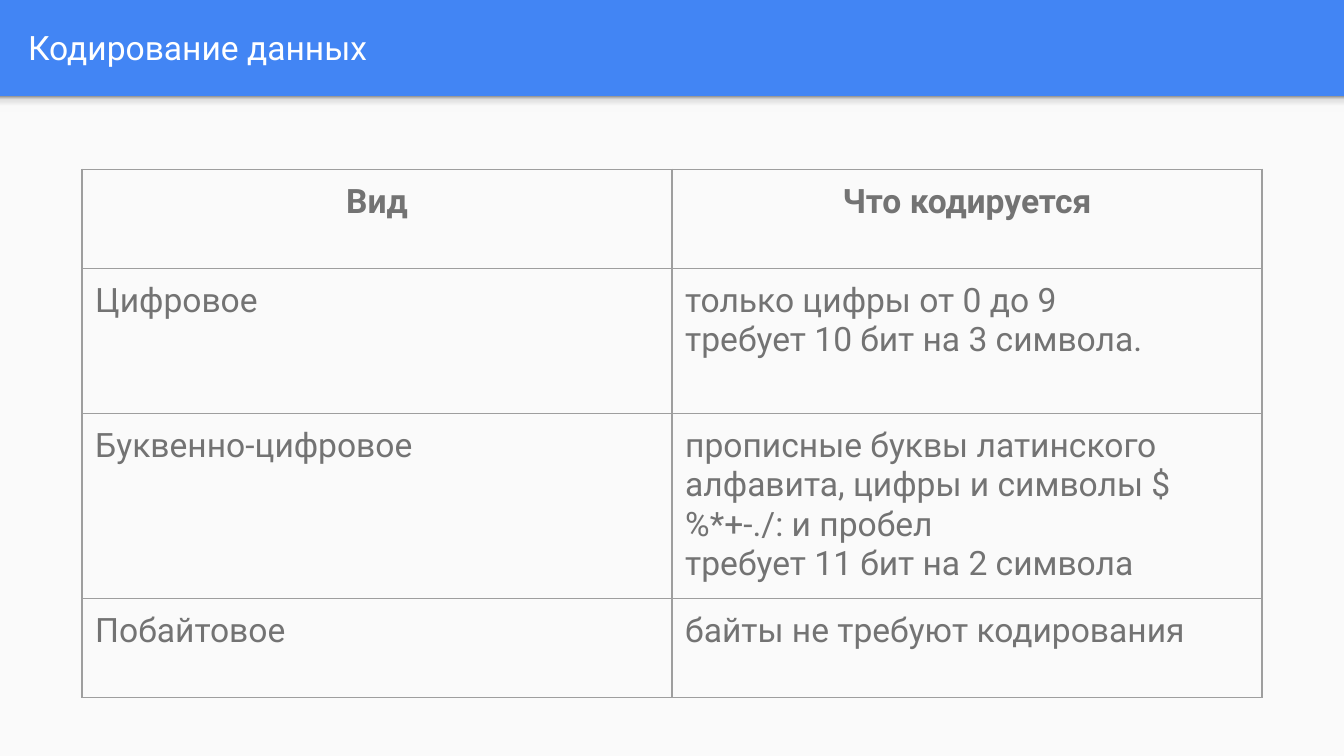
from dataclasses import dataclass

from lxml import etree
from pptx import Presentation
from pptx.dml.color import RGBColor
from pptx.enum.shapes import MSO_SHAPE
from pptx.enum.text import MSO_ANCHOR, PP_ALIGN
from pptx.oxml.ns import qn
from pptx.util import Cm, Pt

RECTANGLE = MSO_SHAPE.RECTANGLE
TOP, MIDDLE = MSO_ANCHOR.TOP, MSO_ANCHOR.MIDDLE
LEFT, CENTER = PP_ALIGN.LEFT, PP_ALIGN.CENTER


@dataclass(frozen=True)
class Theme:
    font: str = "Roboto"
    text_size: int = 18
    border_width: float = 0.75
    header: str = "4285F4"
    paper: str = "FAFAFA"
    title: str = "FFFFFF"
    text: str = "737373"
    border: str = "9E9E9E"
    shadow: tuple = ((0, "F9F9F9"), (36, "F9F9F9"), (80, "DEDEDE"), (100, "999999"))


THEME = Theme()
SLIDE_WIDTH, SLIDE_HEIGHT = Cm(25.4), Cm(14.29)
HEADER_HEIGHT = Cm(1.82)
INSET = Cm(0.25)


def write(frame, text, color=THEME.text, bold=False, align=LEFT):
    """Fill a text frame, one paragraph for each line of text."""
    frame.text = text
    frame.word_wrap = True
    for paragraph in frame.paragraphs:
        paragraph.alignment = align
        font = paragraph.runs[0].font
        font.name = THEME.font
        font.size = Pt(THEME.text_size)
        font.bold = bold
        font.color.rgb = RGBColor.from_string(color)


def add_band(slide, top, height):
    """Add a full-width rectangle without line or shadow."""
    band = slide.shapes.add_shape(RECTANGLE, 0, top, SLIDE_WIDTH, height)
    band.shadow.inherit = False
    band.line.fill.background()
    return band


presentation = Presentation()
presentation.slide_width, presentation.slide_height = SLIDE_WIDTH, SLIDE_HEIGHT
slide = presentation.slides.add_slide(presentation.slide_layouts[5])

# Background: blue header above a light page
slide.background.fill.solid()
slide.background.fill.fore_color.rgb = RGBColor.from_string(THEME.header)
page = add_band(slide, HEADER_HEIGHT, SLIDE_HEIGHT - HEADER_HEIGHT)
page.fill.solid()
page.fill.fore_color.rgb = RGBColor.from_string(THEME.paper)

# Soft shadow under the header, darkest at its top
header_shadow = add_band(slide, HEADER_HEIGHT, Cm(0.3))
header_shadow.fill.gradient()
header_shadow.fill.gradient_angle = 90
stop_list = next(header_shadow.element.iter(qn("a:gsLst")))
for old_stop in list(stop_list):
    stop_list.remove(old_stop)
for percent, color in THEME.shadow:
    stop = etree.SubElement(stop_list, qn("a:gs"), pos=str(percent * 1000))
    etree.SubElement(stop, qn("a:srgbClr"), val=color)

# Title
title = slide.shapes.title
title.left, title.top, title.width, title.height = Cm(0.28), Cm(0.05), Cm(24.5), Cm(1.68)
frame = title.text_frame
frame.margin_left = frame.margin_right = frame.margin_top = frame.margin_bottom = INSET
frame.vertical_anchor = MIDDLE
write(frame, "Кодирование данных", color=THEME.title)

# Table of encoding kinds
ROWS = [
    ("Вид", "Что кодируется"),
    ("Цифровое", "только цифры от 0 до 9\nтребует 10 бит на 3 символа."),
    (
        "Буквенно-цифровое",
        "прописные буквы латинского алфавита, цифры и символы $%*+-./: и пробел\n"
        "требует 11 бит на 2 символа",
    ),
    ("Побайтовое", "байты не требуют кодирования"),
]
ROW_HEIGHTS = [Cm(1.87), Cm(2.74), Cm(3.5), Cm(1.87)]
COLUMN_WIDTH = Cm(11.15)

table = slide.shapes.add_table(
    len(ROWS), 2, Cm(1.55), Cm(3.2), 2 * COLUMN_WIDTH, sum(ROW_HEIGHTS)
).table
table.horz_banding = False
for column in table.columns:
    column.width = COLUMN_WIDTH

for row_index, texts in enumerate(ROWS):
    table.rows[row_index].height = ROW_HEIGHTS[row_index]
    is_header = row_index == 0
    for column_index, text in enumerate(texts):
        cell = table.cell(row_index, column_index)
        cell.margin_left = cell.margin_right = INSET
        cell.margin_top = cell.margin_bottom = INSET
        cell.vertical_anchor = TOP
        write(cell.text_frame, text, bold=is_header, align=CENTER if is_header else LEFT)

        # Borders come before the fill in the cell properties
        properties = cell._tc.get_or_add_tcPr()
        for side in ("a:lnL", "a:lnR", "a:lnT", "a:lnB"):
            line = etree.SubElement(properties, qn(side), w=str(Pt(THEME.border_width)))
            fill = etree.SubElement(line, qn("a:solidFill"))
            etree.SubElement(fill, qn("a:srgbClr"), val=THEME.border)
        cell.fill.background()

presentation.save("out.pptx")
